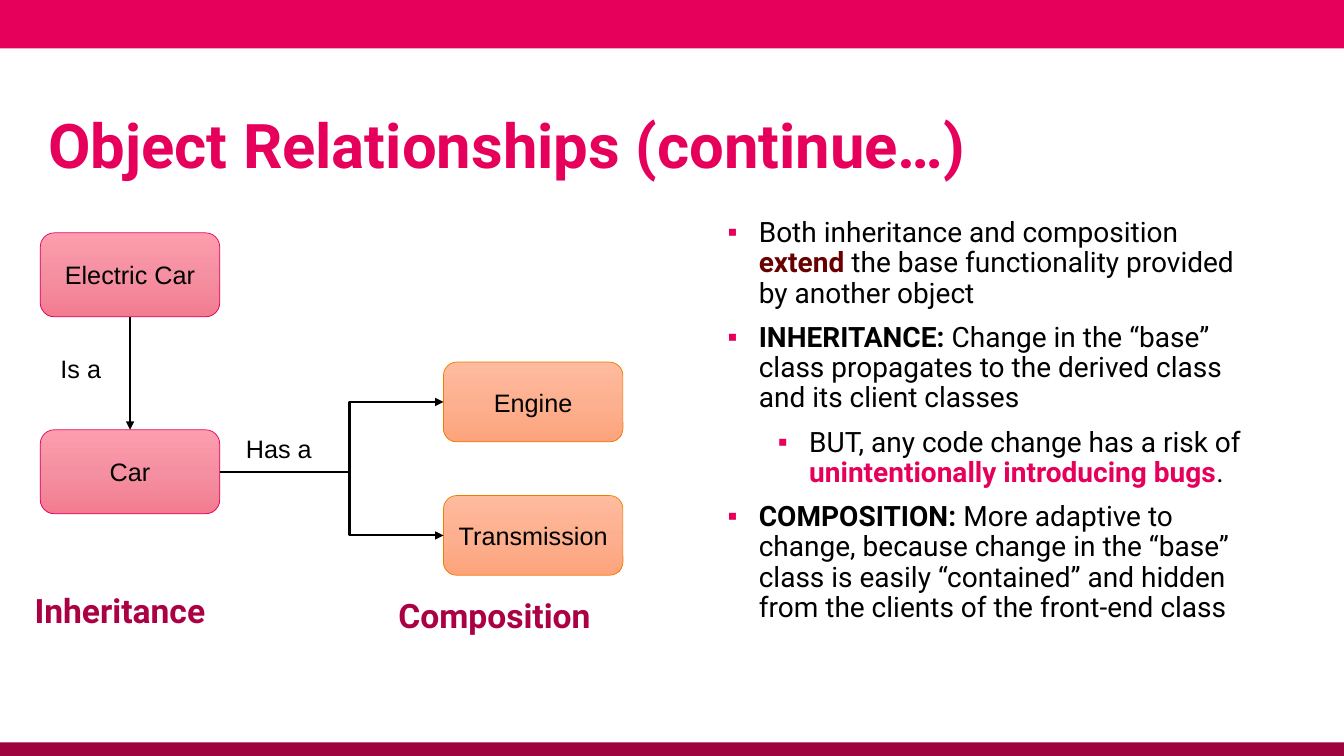
from copy import deepcopy

from lxml.etree import SubElement
from pptx import Presentation
from pptx.dml.color import RGBColor
from pptx.enum.shapes import MSO_CONNECTOR, MSO_SHAPE
from pptx.enum.text import MSO_ANCHOR, PP_ALIGN
from pptx.oxml.ns import qn
from pptx.util import Inches, Pt

SLIDE_WIDTH, SLIDE_HEIGHT = Inches(13.33), Inches(7.5)
# The grid has 100 columns and 100 rows.
COLUMN, ROW = SLIDE_WIDTH / 100, SLIDE_HEIGHT / 100

PINK = RGBColor(0xE6, 0x00, 0x5B)
CRIMSON = RGBColor(0x9E, 0x04, 0x3D)
CAPTION_RED = RGBColor(0xAC, 0x00, 0x44)
DARK_RED = RGBColor(0x68, 0x00, 0x00)
BLACK = RGBColor(0x00, 0x00, 0x00)
ORANGE = RGBColor(0xF0, 0x7C, 0x00)
ROSE_STOPS = (RGBColor(0xFD, 0x9D, 0xAD), RGBColor(0xF4, 0x90, 0xA1), RGBColor(0xF3, 0x7C, 0x91))
PEACH_STOPS = (RGBColor(0xFF, 0xBB, 0x9E), RGBColor(0xFD, 0xB0, 0x90), RGBColor(0xFD, 0xA4, 0x7C))

BOX_WIDTH = 13.35
CAR_LEFT, PART_LEFT = 3, 33
CAR_HEIGHT, PART_HEIGHT = 11.1, 10.55
NO_INSETS = (0, 0, 0, 0)
DEFAULT_INSETS = (0.1, 0.05, 0.1, 0.05)
RIGHT_SIDE, LEFT_SIDE, BOTTOM_SIDE, TOP_SIDE = 3, 1, 2, 0

# Each point is a level and its runs; a run is text, colour and boldness.
POINTS = [
    (0, [("Both inheritance and composition ", BLACK, False),
         ("extend", DARK_RED, True),
         (" the base functionality provided by another object", BLACK, False)]),
    (0, [("INHERITANCE:", BLACK, True),
         (" Change in the “base” class propagates to the derived class and its client classes",
          BLACK, False)]),
    (1, [("BUT, any code change has a risk of ", BLACK, False),
         ("unintentionally introducing bugs", PINK, True),
         (".", BLACK, False)]),
    (0, [("COMPOSITION:", BLACK, True),
         (" More adaptive to change, because change in the “base” class is easily “contained” "
          "and hidden from the clients of the front-end class", BLACK, False)]),
]


def place(left, top, width, height):
    """Turn grid columns and rows into slide lengths."""
    return int(left * COLUMN), int(top * ROW), int(width * COLUMN), int(height * ROW)


def style_font(font, name, size, color, bold=False):
    font.name = name
    font.size = Pt(size)
    font.color.rgb = color
    font.bold = bold


def add_bar(slide, top, height, color):
    bar = slide.shapes.add_shape(MSO_SHAPE.RECTANGLE, *place(0, top, 100, height))
    bar.shadow.inherit = False
    bar.fill.solid()
    bar.fill.fore_color.rgb = color
    bar.line.fill.background()


def add_text_frame(slide, area, insets=DEFAULT_INSETS, anchor=MSO_ANCHOR.TOP, wrap=True):
    text_frame = slide.shapes.add_textbox(*place(*area)).text_frame
    text_frame.word_wrap = wrap
    text_frame.vertical_anchor = anchor
    (text_frame.margin_left, text_frame.margin_top,
     text_frame.margin_right, text_frame.margin_bottom) = map(Inches, insets)
    return text_frame


def add_text(slide, text, area, name, size, color, bold=False, **frame_options):
    text_frame = add_text_frame(slide, area, **frame_options)
    text_frame.text = text
    style_font(text_frame.paragraphs[0].runs[0].font, name, size, color, bold)


def fill_gradient(shape, colors):
    """Fill from top to bottom with three evenly spaced colours."""
    shape.fill.gradient()
    shape.fill.gradient_angle = 270
    stop_list = shape._element.spPr.find(qn("a:gradFill")).find(qn("a:gsLst"))
    stop_list.insert(1, deepcopy(stop_list[0]))
    for index, (stop, color) in enumerate(zip(shape.fill.gradient_stops, colors)):
        stop.position = index / 2
        stop.color.rgb = color


def add_class_box(slide, text, left, top, height, colors, outline):
    box = slide.shapes.add_shape(MSO_SHAPE.ROUNDED_RECTANGLE,
                                 *place(left, top, BOX_WIDTH, height))
    box.shadow.inherit = False
    fill_gradient(box, colors)
    box.line.color.rgb = outline
    box.line.width = Pt(0.5)
    text_frame = box.text_frame
    text_frame.word_wrap = True
    text_frame.vertical_anchor = MSO_ANCHOR.MIDDLE
    text_frame.text = text
    paragraph = text_frame.paragraphs[0]
    paragraph.alignment = PP_ALIGN.CENTER
    style_font(paragraph.runs[0].font, "Arial", 18, BLACK)
    return box


def add_arrow(slide, kind, source, source_side, target, target_side, bend=None):
    """Join two boxes; bend is the share of the width where an elbow turns."""
    arrow = slide.shapes.add_connector(kind, 0, 0, 0, 0)
    arrow.begin_connect(source, source_side)
    arrow.end_connect(target, target_side)
    arrow.line.color.rgb = BLACK
    arrow.line.width = Pt(1.5)
    properties = arrow._element.spPr
    SubElement(properties.find(qn("a:ln")), qn("a:tailEnd"), type="triangle")
    SubElement(properties, qn("a:effectLst"))
    if bend is not None:
        adjustments = properties.find(qn("a:prstGeom")).get_or_add_avLst()
        SubElement(adjustments, qn("a:gd"), name="adj1", fmla=f"val {round(bend * 100000)}")


def set_bullet(paragraph):
    properties = paragraph._p.get_or_add_pPr()
    properties.set("marL", str(Inches(0.31 + 0.5 * paragraph.level)))
    properties.set("indent", str(Inches(-0.31)))
    bullet_color = SubElement(properties, qn("a:buClr"))
    SubElement(bullet_color, qn("a:srgbClr"), val=str(PINK))
    SubElement(properties, qn("a:buFont"), typeface="Arial")
    SubElement(properties, qn("a:buChar"), char="▪")


def add_points(slide, points, area):
    text_frame = add_text_frame(slide, area)
    for index, (level, runs) in enumerate(points):
        paragraph = text_frame.add_paragraph() if index else text_frame.paragraphs[0]
        paragraph.level = level
        paragraph.line_spacing = 0.9
        paragraph.space_before = Pt(10)
        set_bullet(paragraph)
        for text, color, bold in runs:
            run = paragraph.add_run()
            run.text = text
            style_font(run.font, "Roboto", 20, color, bold)


def add_diagram(slide):
    electric_car, car = [
        add_class_box(slide, text, CAR_LEFT, top, CAR_HEIGHT, ROSE_STOPS, PINK)
        for text, top in (("Electric Car", 30.8), ("Car", 56.85))]
    parts = [
        add_class_box(slide, text, PART_LEFT, top, PART_HEIGHT, PEACH_STOPS, ORANGE)
        for text, top in (("Engine", 47.9), ("Transmission", 65.55))]
    add_arrow(slide, MSO_CONNECTOR.STRAIGHT, electric_car, BOTTOM_SIDE, car, TOP_SIDE)
    for part in parts:
        add_arrow(slide, MSO_CONNECTOR.ELBOW, car, RIGHT_SIDE, part, LEFT_SIDE, bend=0.58)
    for text, left, top in (("Is a", 4.5, 46.3), ("Has a", 18.3, 56.9)):
        add_text(slide, text, (left, top, 5.2, 4.4), "Arial", 18, BLACK,
                 insets=NO_INSETS, anchor=MSO_ANCHOR.BOTTOM, wrap=False)


def main():
    presentation = Presentation()
    presentation.slide_width, presentation.slide_height = SLIDE_WIDTH, SLIDE_HEIGHT
    slide = presentation.slides.add_slide(presentation.slide_layouts[6])
    add_bar(slide, 0, 6.4, PINK)
    add_bar(slide, 98.2, 1.8, CRIMSON)
    add_text(slide, "Object Relationships (continue…)", (3.6, 11.75, 92.7, 14.65),
             "Roboto", 44, PINK, bold=True,
             insets=(0, 0.05, 0.1, 0.05), anchor=MSO_ANCHOR.MIDDLE)
    add_text(slide, "Inheritance", (2.5, 78, 13.35, 5.35), "Roboto", 24, CAPTION_RED,
             bold=True, insets=(0.01, 0, 0.01, 0), wrap=False)
    add_text(slide, "Composition", (28.9, 78, 17.7, 6.7), "Roboto", 24, CAPTION_RED, bold=True)
    add_diagram(slide)
    add_points(slide, POINTS, (53.4, 28.25, 39.7, 56.5))
    presentation.save("out.pptx")


if __name__ == "__main__":
    main()
